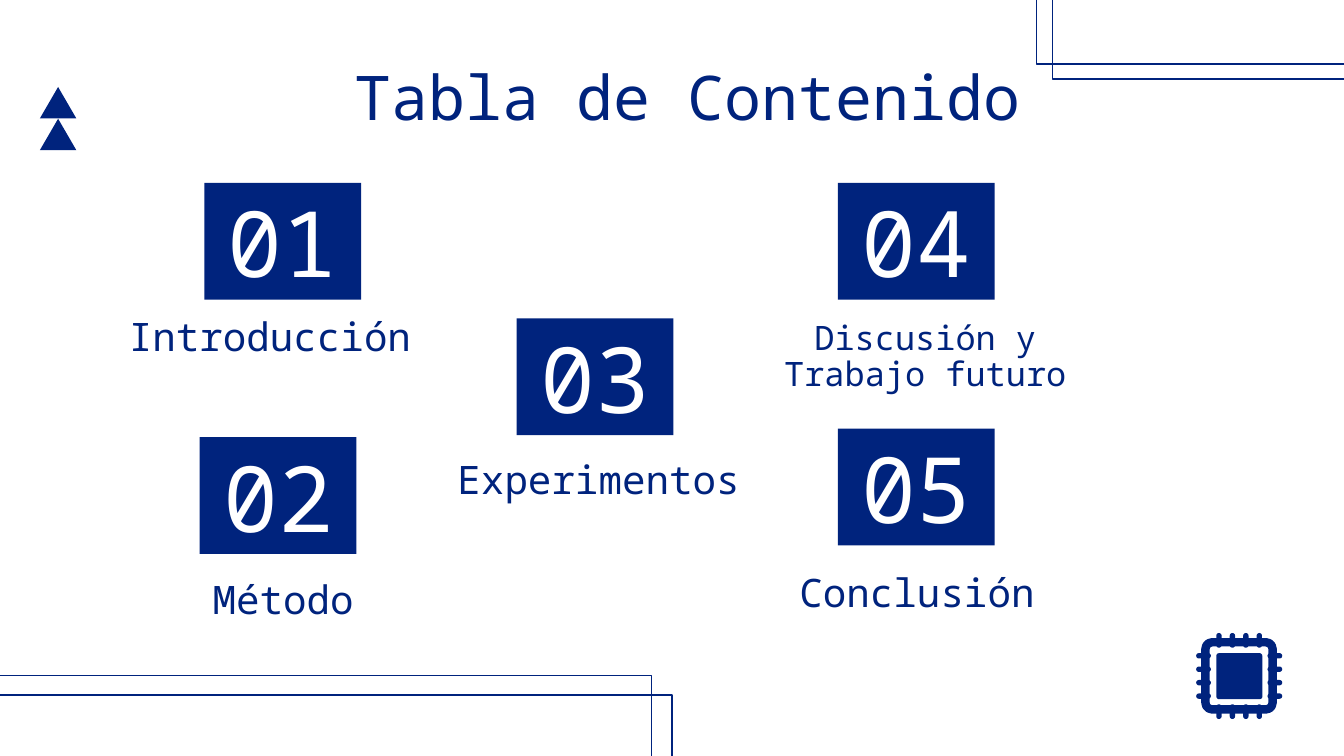
from pptx import Presentation
from pptx.dml.color import RGBColor
from pptx.enum.shapes import MSO_SHAPE
from pptx.enum.text import MSO_ANCHOR, MSO_AUTO_SIZE, PP_ALIGN
from pptx.util import Pt

NAVY = RGBColor(0x00, 0x23, 0x7D)
WHITE = RGBColor(0xFF, 0xFF, 0xFF)
FONT = "Noto Sans Mono"
RECTANGLE = MSO_SHAPE.RECTANGLE
ROUNDED = MSO_SHAPE.ROUNDED_RECTANGLE
TRIANGLE = MSO_SHAPE.ISOSCELES_TRIANGLE
TOP, MIDDLE, BOTTOM = MSO_ANCHOR.TOP, MSO_ANCHOR.MIDDLE, MSO_ANCHOR.BOTTOM
LEFT, CENTER = PP_ALIGN.LEFT, PP_ALIGN.CENTER
NO_AUTOFIT = MSO_AUTO_SIZE.NONE
TITLE_ONLY = 5
INSET = 7.2

NUMBER_WIDTH, NUMBER_HEIGHT = 84, 62.5
LABEL_WIDTH, LABEL_HEIGHT = 173.5, 34

SECTIONS = [
    ("01", (109.5, 98), "Introducción", (62, 166.3)),
    ("02", (107, 234.2), "Método", (106.8, 306.9)),
    ("03", (276.8, 170.6), "Experimentos", (238, 242.6)),
    ("05", (448.9, 229.7), "Conclusión", (421.2, 303.1)),
]

FRAMES = [
    (-39.6, 362, 388.8, 66.2),
    (-28.8, 372.4, 388.8, 66.2),
    (563.8, -23.8, 270.7, 66.2),
    (555.4, -31.9, 270.7, 66.2),
]


def place(item, left, top, width, height):
    item.left, item.top = Pt(left), Pt(top)
    item.width, item.height = Pt(width), Pt(height)


def write(item, lines, size, color, alignment, anchor, spacing=1.0):
    frame = item.text_frame
    frame.word_wrap = True
    frame.auto_size = NO_AUTOFIT
    frame.vertical_anchor = anchor
    frame.margin_left = frame.margin_right = Pt(INSET)
    frame.margin_top = frame.margin_bottom = Pt(INSET)
    for index, line in enumerate(lines):
        para = frame.add_paragraph() if index else frame.paragraphs[0]
        para.alignment = alignment
        para.line_spacing = spacing
        span = para.add_run()
        span.text = line
        span.font.name = FONT
        span.font.size = Pt(size)
        span.font.color.rgb = color


def add_solid(page, kind, left, top, width, height, rounding=None):
    box = page.shapes.add_shape(kind, Pt(left), Pt(top), Pt(width), Pt(height))
    box.shadow.inherit = False
    box.fill.solid()
    box.fill.fore_color.rgb = NAVY
    box.line.fill.background()
    if rounding is not None:
        box.adjustments[0] = rounding
    return box


def add_outline(page, kind, left, top, width, height, weight, rounding=None):
    box = add_solid(page, kind, left, top, width, height, rounding)
    box.fill.background()
    box.line.color.rgb = NAVY
    box.line.width = Pt(weight)


def add_chip(page, left, top):
    pin_length, pin_width, pitch = 7.9, 2.9, 7.2
    first_pin, far_side = 10.8, 38.2
    add_outline(page, ROUNDED, left + 5, top + 5, 36, 36, 4.5, 0.1)
    add_solid(page, ROUNDED, left + 10.8, top + 10.8, 24.7, 24.7, 0.06)
    for index in range(4):
        along = first_pin + index * pitch
        for side in (0, far_side):
            add_solid(page, ROUNDED, left + along, top + side, pin_width, pin_length, 0.5)
            add_solid(page, ROUNDED, left + side, top + along, pin_length, pin_width, 0.5)


def add_number(page, number, left, top):
    box = add_solid(page, RECTANGLE, left, top, NUMBER_WIDTH, NUMBER_HEIGHT)
    write(box, [number], 49, WHITE, CENTER, MIDDLE)


def add_label(page, lines, left, top, width=LABEL_WIDTH, height=LABEL_HEIGHT,
              size=21, alignment=LEFT):
    box = page.shapes.add_textbox(Pt(left), Pt(top), Pt(width), Pt(height))
    write(box, lines, size, NAVY, alignment, BOTTOM, 0.9)


def main():
    deck = Presentation()
    deck.slide_width, deck.slide_height = Pt(720), Pt(405)
    page = deck.slides.add_slide(deck.slide_layouts[TITLE_ONLY])

    add_chip(page, 640.8, 339.1)
    for frame in FRAMES:
        add_outline(page, RECTANGLE, *frame, 0.75)
    for top in (46.6, 63.6):
        add_solid(page, TRIANGLE, 21.4, top, 19.5, 16.8)

    title = page.shapes.title
    place(title, 78.5, 24.5, 579.6, 40.3)
    write(title, ["Tabla de Contenido"], 33, NAVY, CENTER, TOP)

    for number, number_at, label, label_at in SECTIONS:
        add_number(page, number, *number_at)
        add_label(page, [label], *label_at)
    add_number(page, "04", 448.9, 98)
    add_label(page, ["Discusión y", "Trabajo futuro"], 368.6, 133.2, 254.2, 85, 18, CENTER)

    deck.save("out.pptx")


if __name__ == "__main__":
    main()
